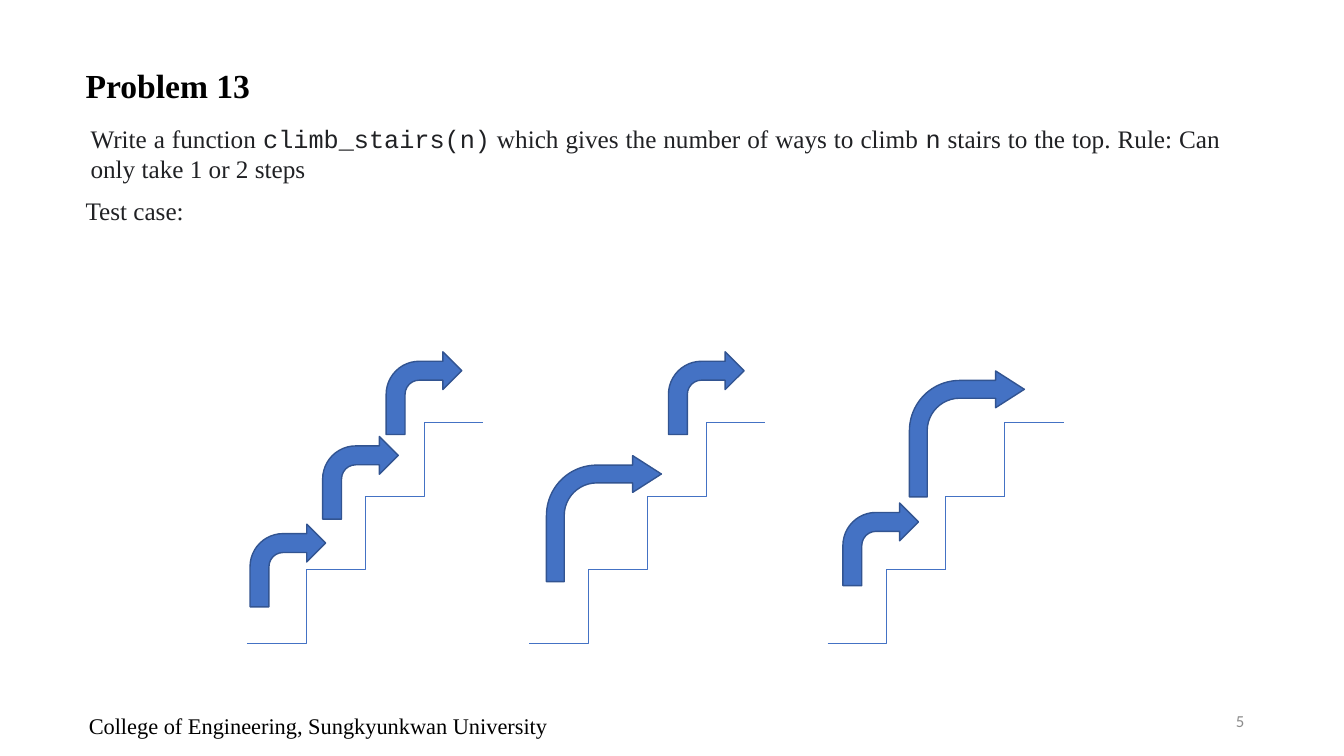
from lxml import etree
from pptx import Presentation
from pptx.dml.color import RGBColor
from pptx.enum import shapes, text
from pptx.oxml import ns
from pptx.util import Inches, Pt

COLORS = {"black": "000000", "body": "202124", "number": "8C8C8C",
          "blue": "4472C4", "outline": "325491"}
SERIF, MONO = "Times New Roman", "Courier New"
ALIGN, ANCHOR = text.PP_ALIGN, text.MSO_ANCHOR


def color(name):
    return RGBColor.from_string(COLORS[name])


def add_text(box, runs, font_format, color_name, wrap=True,
             align=ALIGN.LEFT, anchor=ANCHOR.TOP):
    """Add a text box at box (inches) with runs of (wording, font name)."""
    frame = slide.shapes.add_textbox(*map(Inches, box)).text_frame
    frame.word_wrap = wrap
    frame.vertical_anchor = anchor
    paragraph = frame.paragraphs[0]
    paragraph.alignment = align
    for wording, font_name in runs:
        run = paragraph.add_run()
        run.text = wording
        for attribute, value in {"name": font_name, **font_format}.items():
            setattr(run.font, attribute, value)
        run.font.color.rgb = color(color_name)


presentation = Presentation()
presentation.slide_width = Inches(13.33)
presentation.slide_height = Inches(7.5)
slide = presentation.slides.add_slide(presentation.slide_layouts[6])

body = {"size": Pt(18)}
add_text((0.75, 7.02, 4.81, 0.37),
         [("College of Engineering, Sungkyunkwan University", SERIF)],
         {"size": Pt(16)}, "black", wrap=False, align=ALIGN.CENTER)
add_text((9.44, 6.95, 3, 0.4), [("5", "Calibri")], {"size": Pt(12)}, "number",
         align=ALIGN.RIGHT, anchor=ANCHOR.MIDDLE)
add_text((0.75, 0.59, 1.85, 0.5), [("Problem 13", SERIF)],
         {"size": Pt(24), "bold": True}, "black", wrap=False)
add_text((0.8, 1.17, 11.4, 0.71),
         [("Write a function ", SERIF),
          ("climb_stairs(n)", MONO),
          (" which gives the number of ways to climb ", SERIF),
          ("n", MONO),
          (" stairs to the top. Rule: Can only take 1 or 2 steps", SERIF)],
         body, "body", align=ALIGN.JUSTIFY)
add_text((0.75, 1.89, 1.32, 0.4), [("Test case:", SERIF)], body, "body",
         align=ALIGN.JUSTIFY)

# Each staircase: left edge, then the jumps as (steps, left, top)
staircases = [
    (2.45, [(1, 2.48, 5.2), (1, 3.2, 4.33), (1, 3.83, 3.49)]),
    (5.25, [(2, 5.42, 4.52), (1, 6.63, 3.49)]),
    (8.21, [(2, 9.02, 3.68), (1, 8.36, 4.99)]),
]
# Width, height and adjustments of a jump by number of steps
jump_formats = {
    1: (0.75, 0.82, (0.25, 0.25, 0.25, 0.4375)),
    2: (1.14, 1.25, (0.155, 0.16, 0.25, 0.438)),
}
stair_bottom, stair_width, stair_height = 6.38, 1.17, 0.73

for staircase_left, jumps in staircases:
    for level in range(3):
        left = staircase_left + level * stair_width / 2
        bottom = stair_bottom - level * stair_height
        stair = slide.shapes.add_connector(
            shapes.MSO_CONNECTOR.ELBOW, Inches(left), Inches(bottom),
            Inches(left + stair_width), Inches(bottom - stair_height))
        stair.line.color.rgb = color("blue")
        stair.line.width = Pt(0.5)
        etree.SubElement(stair._element.spPr, ns.qn("a:effectLst"))

    for steps, left, top in jumps:
        width, height, adjustments = jump_formats[steps]
        arrow = slide.shapes.add_shape(
            shapes.MSO_SHAPE.BENT_ARROW,
            *map(Inches, (left, top, width, height)))
        for index, value in enumerate(adjustments):
            arrow.adjustments[index] = value
        arrow.shadow.inherit = False
        arrow.fill.solid()
        arrow.fill.fore_color.rgb = color("blue")
        arrow.line.color.rgb = color("outline")
        arrow.line.width = Pt(1)

presentation.save("out.pptx")
